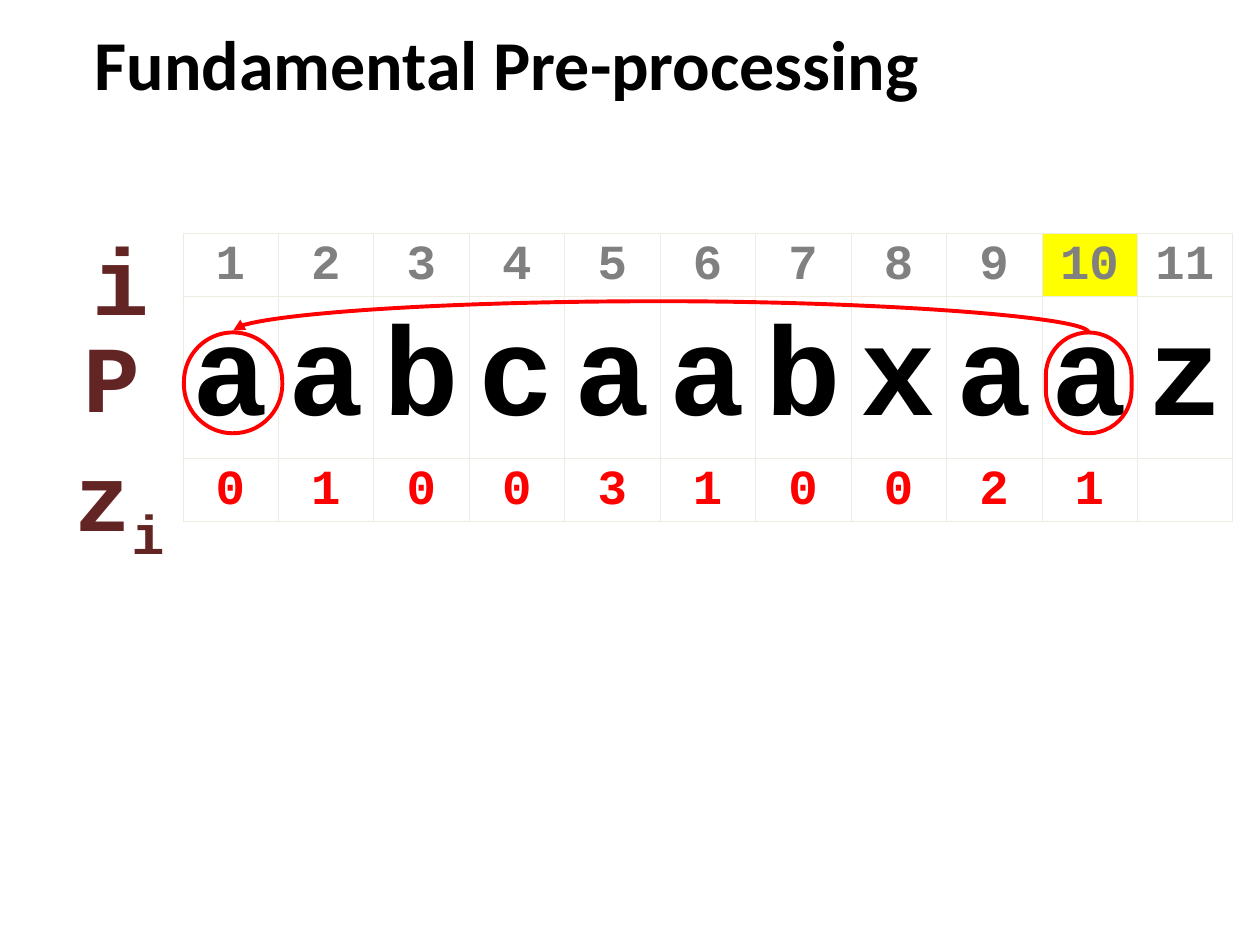
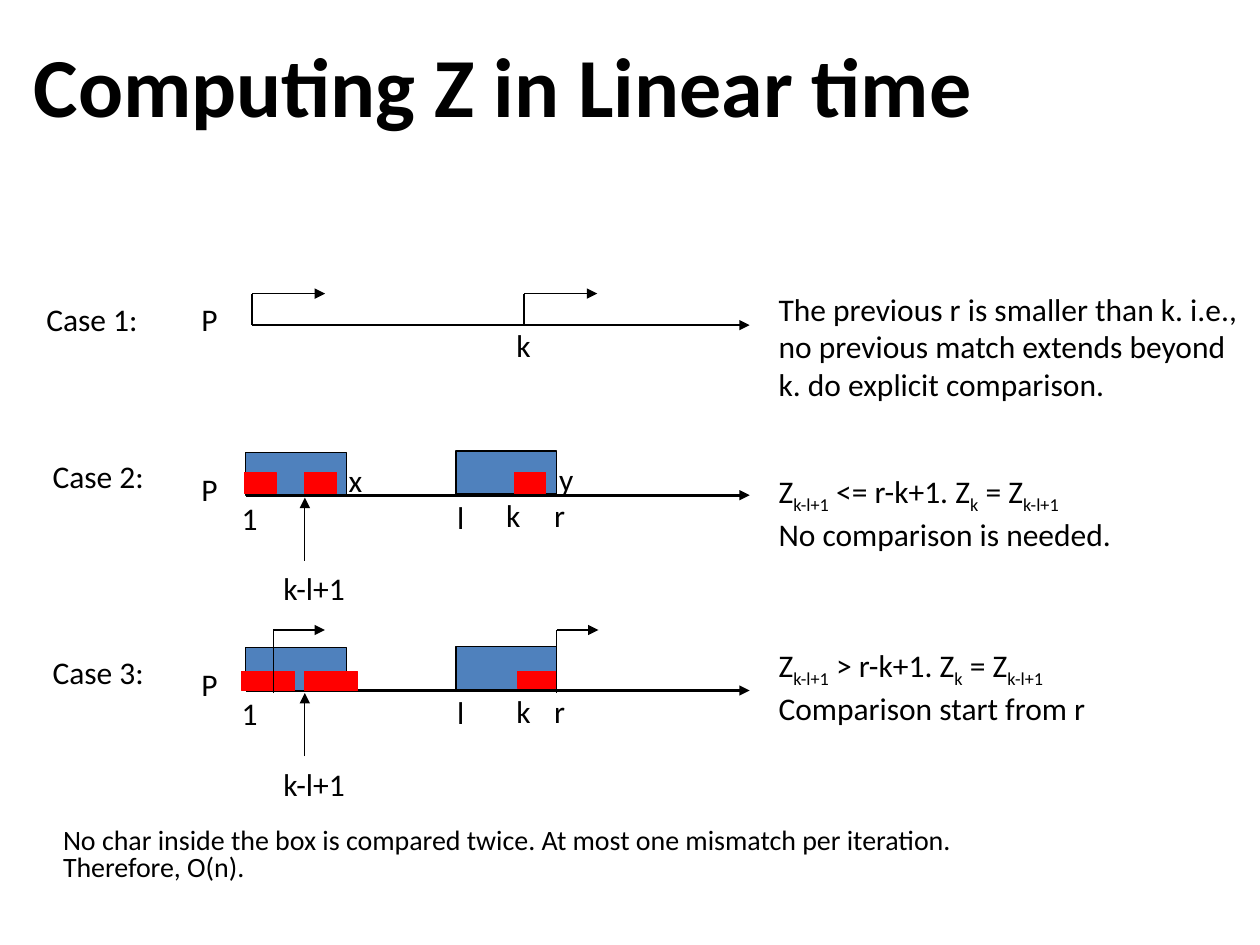
import dataclasses

import lxml.etree
import pptx
import pptx.dml.color
import pptx.enum.shapes
import pptx.enum.text
import pptx.oxml.ns
import pptx.util

Pt = pptx.util.Pt
qn = pptx.oxml.ns.qn
SHAPES = pptx.enum.shapes.MSO_SHAPE
CONNECTORS = pptx.enum.shapes.MSO_CONNECTOR
ALIGN = pptx.enum.text.PP_ALIGN
ANCHOR = pptx.enum.text.MSO_ANCHOR
AUTO_SIZE = pptx.enum.text.MSO_AUTO_SIZE

COLORS = {
    "text": "000000", "index": "808080", "red": "FF0000", "label": "632523",
    "highlight": "FFFF00", "grid": "EEECE1", "match": "4F81BD",
}
SANS, MONO = "Calibri", "Courier New"


@dataclasses.dataclass
class Box:
    left: float
    top: float
    width: float
    height: float

    def inner(self, left, top, width, height):
        """A box placed relative to this one."""
        return Box(self.left + left, self.top + top, width, height)

    def lengths(self):
        return [Pt(value) for value in (self.left, self.top, self.width, self.height)]


def rgb(name):
    return pptx.dml.color.RGBColor.from_string(COLORS[name])


def style_font(font, size, color="text", face=SANS, bold=False):
    font.size, font.name, font.bold = Pt(size), face, bold
    font.color.rgb = rgb(color)


def add_text(page, box, lines, size=18, color="text", face=SANS, bold=False,
             wrap=False, inset=True, align=None, spacing=None, anchor=ANCHOR.TOP):
    """Write the lines; within a line, parts between bars are subscripts."""
    frame = page.shapes.add_textbox(*box.lengths()).text_frame
    frame.word_wrap = wrap
    frame.vertical_anchor = anchor
    if not wrap:
        frame.auto_size = AUTO_SIZE.SHAPE_TO_FIT_TEXT
    if not inset:
        frame.margin_left = frame.margin_right = frame.margin_top = frame.margin_bottom = 0
    for number, line in enumerate(lines):
        para = frame.add_paragraph() if number else frame.paragraphs[0]
        para.alignment, para.line_spacing = align, spacing
        for position, words in enumerate(line.split("|")):
            span = para.add_run()
            span.text = words
            style_font(span.font, size, color, face, bold)
            if position % 2:
                span._r.get_or_add_rPr().set("baseline", "-25000")


def add_title(page, box, title, size):
    add_text(page, box, [title], size, bold=True, wrap=True, inset=False)


def add_block(page, box, fill=None, line="text", width=0.75, kind=SHAPES.RECTANGLE):
    block = page.shapes.add_shape(kind, *box.lengths())
    block.shadow.inherit = False
    if fill:
        block.fill.solid()
        block.fill.fore_color.rgb = rgb(fill)
    else:
        block.fill.background()
    block.line.color.rgb = rgb(line)
    block.line.width = Pt(width)
    return block


def add_line(page, start, end, width=0.75, color="text", arrow=True,
             kind=CONNECTORS.STRAIGHT):
    line = page.shapes.add_connector(kind, *[Pt(value) for value in (*start, *end)])
    line.line.color.rgb = rgb(color)
    line.line.width = Pt(width)
    if arrow:
        lxml.etree.SubElement(line.line._get_or_add_ln(), qn("a:tailEnd"), type="triangle")
    lxml.etree.SubElement(line._element.spPr, qn("a:effectLst"))
    return line


def add_arc_arrow(page, start_x, end_x, y, rise):
    """A curved arrow from right to left: a one point wide connector turned by 270 degrees."""
    middle, half = (start_x + end_x) / 2, (start_x - end_x) / 2
    arc = add_line(page, (middle - 0.5, y + half), (middle + 0.5, y - half), 2.25, "red",
                   kind=CONNECTORS.CURVE)
    properties = arc._element.spPr
    properties.find(qn("a:xfrm")).set("rot", str(270 * 60000))
    adjustments = properties.find(qn("a:prstGeom")).find(qn("a:avLst"))
    lxml.etree.SubElement(adjustments, qn("a:gd"), name="adj1", fmla=f"val {rise * 100000}")


def add_cell_borders(cell):
    properties = cell._tc.get_or_add_tcPr()
    for side in ("lnL", "lnR", "lnT", "lnB"):
        border = lxml.etree.SubElement(properties, qn(f"a:{side}"), w=str(Pt(0.25)))
        fill = lxml.etree.SubElement(border, qn("a:solidFill"))
        lxml.etree.SubElement(fill, qn("a:srgbClr"), val=COLORS["grid"])


def add_pattern_table(page, box, highlighted):
    rows = [
        ([str(number) for number in range(1, 12)], 28, "index", 34),
        (list("aabcaabxaaz"), 72, "text", 87),
        ([*"0100310021", ""], 28, "red", 34),
    ]
    columns = len(rows[0][0])
    table = page.shapes.add_table(len(rows), columns, *box.lengths()).table
    table.first_row = table.horz_banding = False
    for column in table.columns:
        column.width = Pt(box.width / columns)
    for row, (values, size, color, height) in enumerate(rows):
        table.rows[row].height = Pt(height)
        for column, value in enumerate(values):
            cell = table.cell(row, column)
            add_cell_borders(cell)
            if (row, column) == highlighted:
                cell.fill.solid()
                cell.fill.fore_color.rgb = rgb("highlight")
            else:
                cell.fill.background()
            cell.margin_left = cell.margin_right = cell.margin_top = cell.margin_bottom = 0
            cell.vertical_anchor = ANCHOR.MIDDLE
            para = cell.text_frame.paragraphs[0]
            para.text = value
            para.alignment, para.line_spacing, para.space_after = ALIGN.CENTER, 1.07, Pt(8)
            for span in para.runs:
                style_font(span.font, size, color, MONO, True)


def add_row_labels(page, box):
    label = {"size": 54, "color": "label", "face": MONO, "bold": True, "wrap": True,
             "align": ALIGN.CENTER}
    add_text(page, box.inner(0, 59.8, 81.4, 57.6), ["P"], anchor=ANCHOR.MIDDLE, **label)
    add_text(page, box.inner(9.4, 127.5, 72, 57.6), ["z|i"], spacing=0.8, **label)
    add_text(page, box.inner(10.1, 10, 72, 50.4), ["i"], spacing=0.8, **label)


def build_preprocessing(page):
    add_title(page, Box(54, 11.5, 612, 57.6), "Fundamental Pre-processing", 40)
    add_pattern_table(page, Box(104.4, 133.2, 600, 155), highlighted=(0, 9))
    add_row_labels(page, Box(23, 125.3, 82, 185))
    rings = [Box(597.6, 190, 49, 57.6), Box(105.1, 190, 56.2, 57.6)]
    for ring in rings:
        shape = add_block(page, ring, line="red", width=2.25, kind=SHAPES.ROUNDED_RECTANGLE)
        shape.adjustments[0] = 0.5
    compared, prefix = [ring.left + ring.width / 2 for ring in rings]
    add_arc_arrow(page, compared, prefix, rings[0].top - 0.5, rise=18)


AXIS = 36  # depth of the pattern axis inside a case box


def add_labels(page, box, labels):
    for words, x, y in labels:
        add_text(page, box.inner(x, AXIS + y, 7.2 * len(words) + 16, 28.8), [words])


def add_axis(page, box, start):
    y = box.top + AXIS
    add_line(page, (box.left + start, y), (box.left + 410.4, y), 1.5)


def add_note(page, box, y, width, lines):
    add_text(page, box.inner(419.8, AXIS + y, width, 50.4), lines, wrap=True)


def add_hook(page, box, x, bottom, top, length):
    """A line up from the axis, then an arrow to the right."""
    left, base = box.left + x, box.top + AXIS
    add_line(page, (left, base + bottom), (left, base + top), arrow=False)
    add_line(page, (left, base + top), (left + length, base + top))


def add_first_case(page, box):
    add_axis(page, box, 126)
    add_labels(page, box, [("Case 1:", 1.4, -18), ("P", 90, -18), ("k", 270, -2.9)])
    add_note(page, box, -23.8, 282.2, ["The previous r is smaller than k. i.e., no previous "
                                       "match extends beyond k. do explicit comparison."])
    for x in (281.5, 126):
        add_hook(page, box, x, 0, -18, 41.8)


def add_match_case(page, box, name, k_x, repeats, note_y, note):
    """Two matching boxes on the axis; repeats are (x, y, width, height) from the axis."""
    add_axis(page, box, 122.4)
    for x, y in ((242.6, -25.2), (122.4, -24.5)):
        add_block(page, box.inner(x, AXIS + y, 57.6, 24.5), "match")
    add_labels(page, box, [
        (name, 5, -25.2), ("P", 90, -18), ("l", 236.2, -2.2), ("r", 291.6, -2.9),
        ("k", k_x, -2.9), ("1", 113, -1.4), ("k-l+1", 136.8, 38.9),
    ])
    arrow_x, axis_y = box.left + 156.2, box.top + AXIS
    add_line(page, (arrow_x, axis_y + 37.4), (arrow_x, axis_y + 1.4))
    for x, y, width, height in repeats:
        add_block(page, box.inner(x, AXIS + y, width, height), "red", "red")
    add_note(page, box, note_y, 252, note)


def build_linear_time(page):
    add_title(page, Box(19.4, 19.4, 692, 58.3), "Computing Z in Linear time", 48)
    add_text(page, Box(36, 473.8, 660, 48.2),
             ["No char inside the box is compared twice. At most one mismatch per iteration.",
              "Therefore, O(n)."], 16, wrap=True, inset=False, spacing=0.8)
    first, second, third = [Box(18, top, 702, 104) for top in (149.8, 247, 358.6)]
    add_first_case(page, first)
    add_match_case(page, second, "Case 2:", 264.2,
                   [(x, -13, 18, 12.2) for x in (156.2, 121.7, 275.8)], -16.6,
                   ["Z|k-l+1| <= r-k+1. Z|k| = Z|k-l+1", "No comparison is needed."])
    add_labels(page, second, [("x", 174.2, -23), ("y", 294.5, -23.8)])
    add_match_case(page, third, "Case 3:", 270,
                   [(156.2, -10.8, 30.2, 10.8), (277.9, -10.8, 21.6, 9.4),
                    (120.2, -10.8, 30.2, 10.8)], -28.8,
                   ["Z|k-l+1| > r-k+1. Z|k| = Z|k-l+1", "Comparison start from r"])
    for x, length in ((300.2, 23.8), (138.2, 29.5)):
        add_hook(page, third, x, 1.4, -34.6, length)


def main():
    deck = pptx.Presentation()
    deck.slide_width, deck.slide_height = Pt(720), Pt(540)
    for build in (build_preprocessing, build_linear_time):
        build(deck.slides.add_slide(deck.slide_layouts[6]))
    deck.save("out.pptx")


if __name__ == "__main__":
    main()
